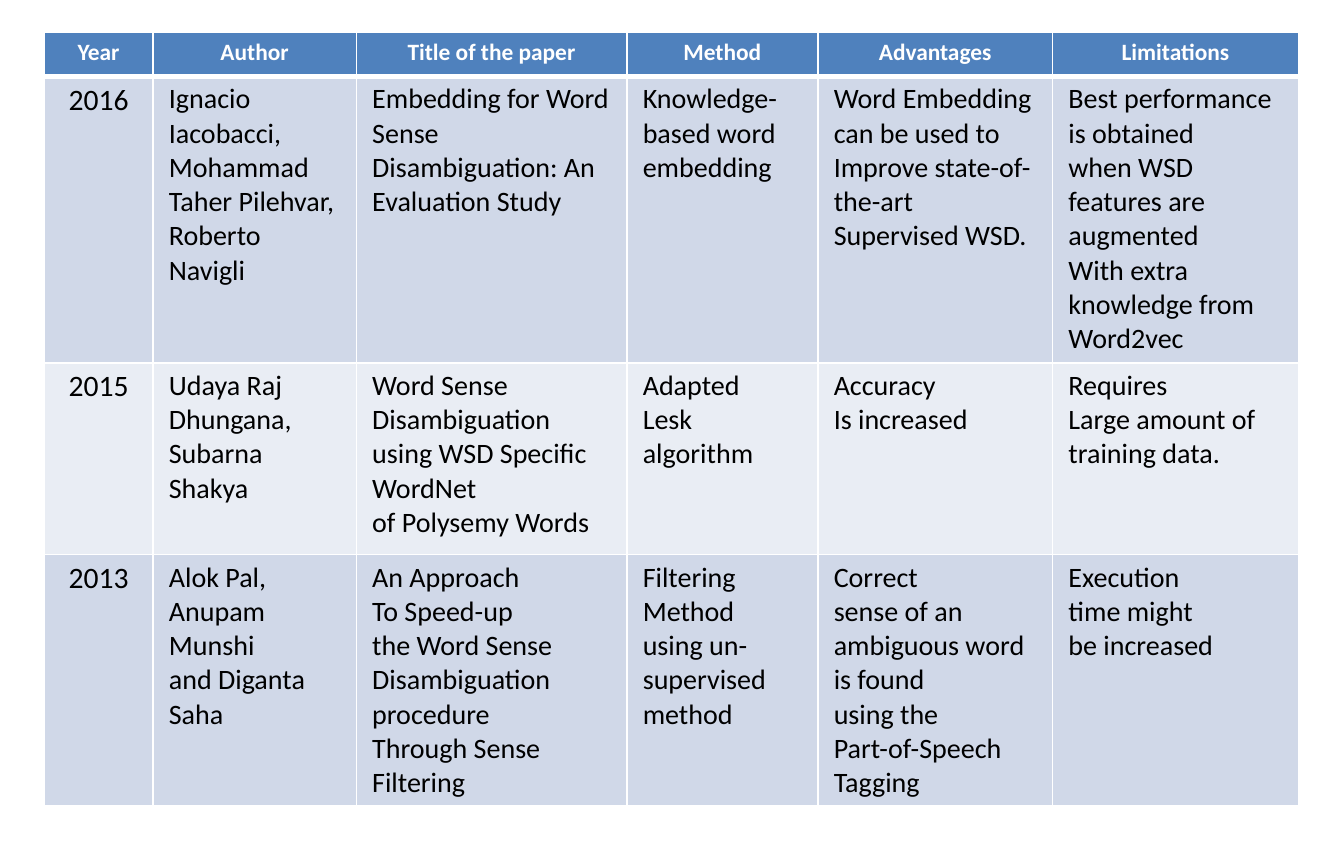
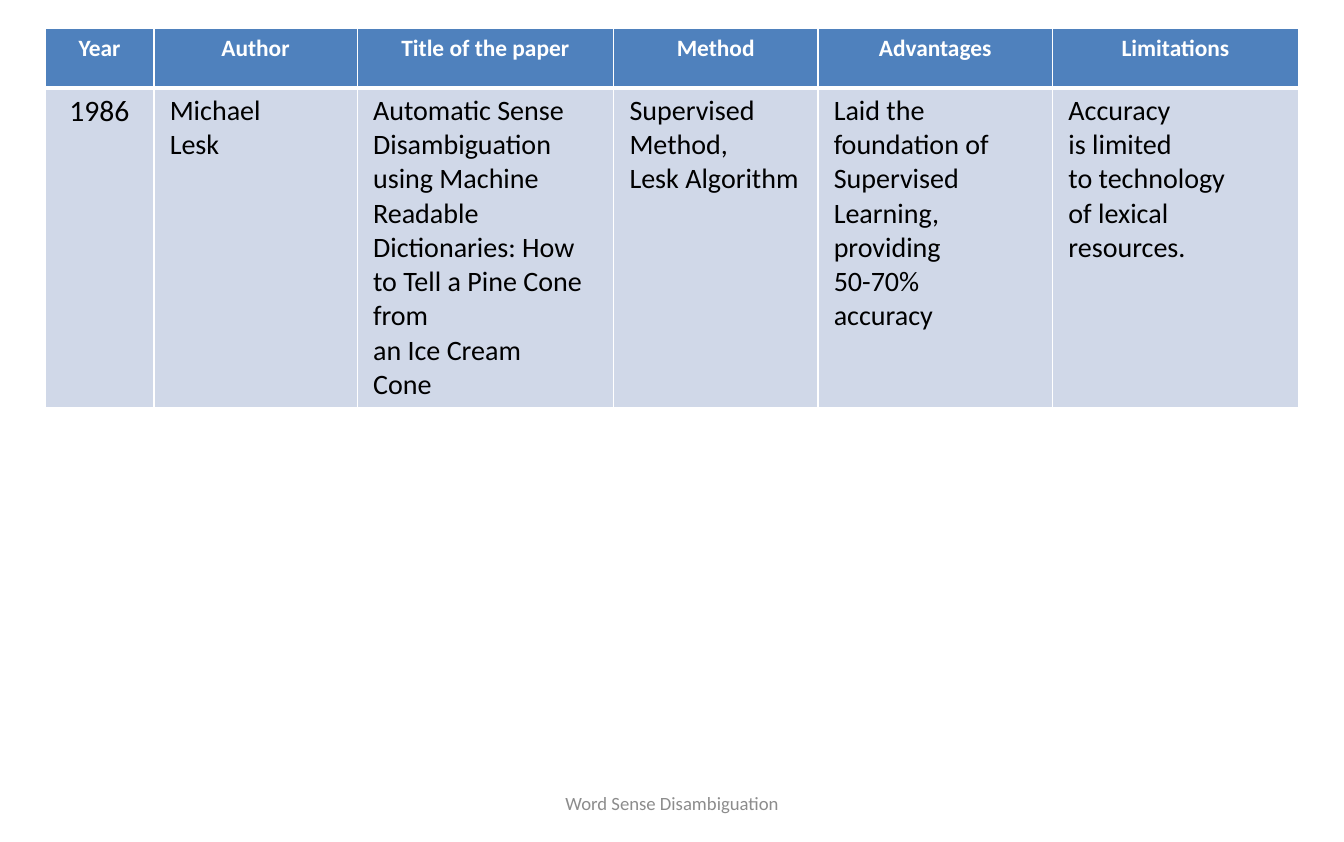
"""Build two slides that compare papers on word sense disambiguation."""
import lxml.etree
import pptx
import pptx.dml.color
import pptx.enum.text
import pptx.oxml.ns
import pptx.util

Cm = pptx.util.Cm
Pt = pptx.util.Pt
ALIGN = pptx.enum.text.PP_ALIGN
FONT = "Calibri"
WHITE, BLACK, GREY = "FFFFFF", "000000", "8C8C8C"
HEADER_FILL = "4F81BD"
BAND_FILLS = ("D0D8E8", "E9EDF4")
HEADINGS = ("Year", "Author", "Title of the paper", "Method", "Advantages", "Limitations")

RECENT_PAPERS = [
    (
        "2016",
        "Ignacio\nIacobacci,\nMohammad Taher Pilehvar,\nRoberto Navigli",
        "Embedding for Word\nSense Disambiguation: An Evaluation Study",
        "Knowledge-based word\nembedding",
        "Word Embedding\ncan be used to\nImprove state-of-the-art Supervised WSD.",
        "Best performance\nis obtained\nwhen WSD features are augmented\n"
        "With extra knowledge from Word2vec",
    ),
    (
        "2015",
        "Udaya Raj\nDhungana,\nSubarna\nShakya",
        "Word Sense\nDisambiguation using WSD Specific WordNet\nof Polysemy Words",
        "Adapted\nLesk algorithm",
        "Accuracy\nIs increased",
        "Requires\nLarge amount of training data.",
    ),
    (
        "2013",
        "Alok Pal,\nAnupam\nMunshi\nand Diganta\nSaha",
        "An Approach\nTo Speed-up\nthe Word Sense Disambiguation procedure\n"
        "Through Sense\nFiltering",
        "Filtering\nMethod\nusing un-\nsupervised\nmethod",
        "Correct\nsense of an\nambiguous word is found\nusing the\nPart-of-Speech\nTagging",
        "Execution\ntime might\nbe increased",
    ),
]
EARLY_PAPERS = [
    (
        "1986",
        "Michael\nLesk",
        "Automatic Sense Disambiguation\nusing Machine\n"
        "Readable Dictionaries: How to Tell a Pine Cone from\nan Ice Cream\nCone",
        "Supervised\nMethod,\nLesk Algorithm",
        "Laid the\nfoundation of\nSupervised\nLearning,\nproviding\n50-70%\naccuracy",
        "Accuracy\nis limited\nto technology\nof lexical\nresources.",
    ),
]


def rgb(value):
    """Turn a hex string into a colour."""
    return pptx.dml.color.RGBColor.from_string(value)


def write(frame, text, size, color, bold=False, align=ALIGN.LEFT):
    """Fill a text frame and format its runs."""
    frame.text = text
    for para in frame.paragraphs:
        para.alignment = align
        for span in para.runs:
            span.font.name = FONT
            span.font.size = Pt(size)
            span.font.bold = bold
            span.font.color.rgb = rgb(color)


def set_borders(cell, top, bottom):
    """Draw white borders, one point wide at the sides."""
    properties = cell._tc.get_or_add_tcPr()
    qn = pptx.oxml.ns.qn
    for side, width in (("L", 1), ("R", 1), ("T", top), ("B", bottom)):
        line = lxml.etree.SubElement(properties, qn(f"a:ln{side}"), w=str(Pt(width)))
        fill = lxml.etree.SubElement(line, qn("a:solidFill"))
        lxml.etree.SubElement(fill, qn("a:srgbClr"), val=WHITE)


def style_cell(cell, text, row, column):
    """Write one table cell in the style of its row and column."""
    header = row == 0
    cell.margin_left = cell.margin_right = Cm(0.36)
    cell.margin_top = cell.margin_bottom = Cm(0.13)
    set_borders(cell, 3 if row == 1 else 1, 3 if header else 1)
    cell.fill.solid()
    cell.fill.fore_color.rgb = rgb(HEADER_FILL if header else BAND_FILLS[(row - 1) % 2])
    size = 15 if header else 19 if column == 0 else 18
    align = ALIGN.CENTER if header or column == 0 else ALIGN.LEFT
    write(cell.text_frame, text, size, WHITE if header else BLACK, header, align)


def add_paper_table(page, left, top, widths, heights, papers):
    """Add a table of papers under the shared headings."""
    frame = page.shapes.add_table(
        len(heights), len(widths), Cm(left), Cm(top), Cm(sum(widths)), Cm(sum(heights))
    )
    table = frame.table
    table.first_row = table.horz_banding = False
    for column, width in zip(table.columns, widths):
        column.width = Cm(width)
    for row, height in zip(table.rows, heights):
        row.height = Cm(height)
    for row, texts in enumerate([HEADINGS, *papers]):
        for column, text in enumerate(texts):
            style_cell(table.cell(row, column), text, row, column)


def add_footer(page, text):
    """Add the centred grey footer."""
    box = page.shapes.add_textbox(Cm(10.39), Cm(17.65), Cm(9.63), Cm(1.02))
    box.text_frame.word_wrap = True
    box.text_frame.vertical_anchor = pptx.enum.text.MSO_ANCHOR.MIDDLE
    write(box.text_frame, text, 12, GREY, align=ALIGN.CENTER)


def main():
    """Build and save the deck."""
    deck = pptx.Presentation()
    deck.slide_width, deck.slide_height = Cm(30.4), Cm(19.05)
    blank = deck.slide_layouts[6]

    recent = deck.slides.add_slide(blank)
    add_paper_table(recent, 1, 0.74, (2.46, 4.6, 6.12, 4.32, 5.31, 5.56),
                    (0.99, 6.48, 4.34, 5.66), RECENT_PAPERS)

    early = deck.slides.add_slide(blank)
    add_paper_table(early, 1.02, 0.64, (2.46, 4.6, 5.8, 4.62, 5.31, 5.56),
                    (1.35, 7.14), EARLY_PAPERS)
    add_footer(early, "Word Sense Disambiguation")

    deck.save("out.pptx")


if __name__ == "__main__":
    main()
